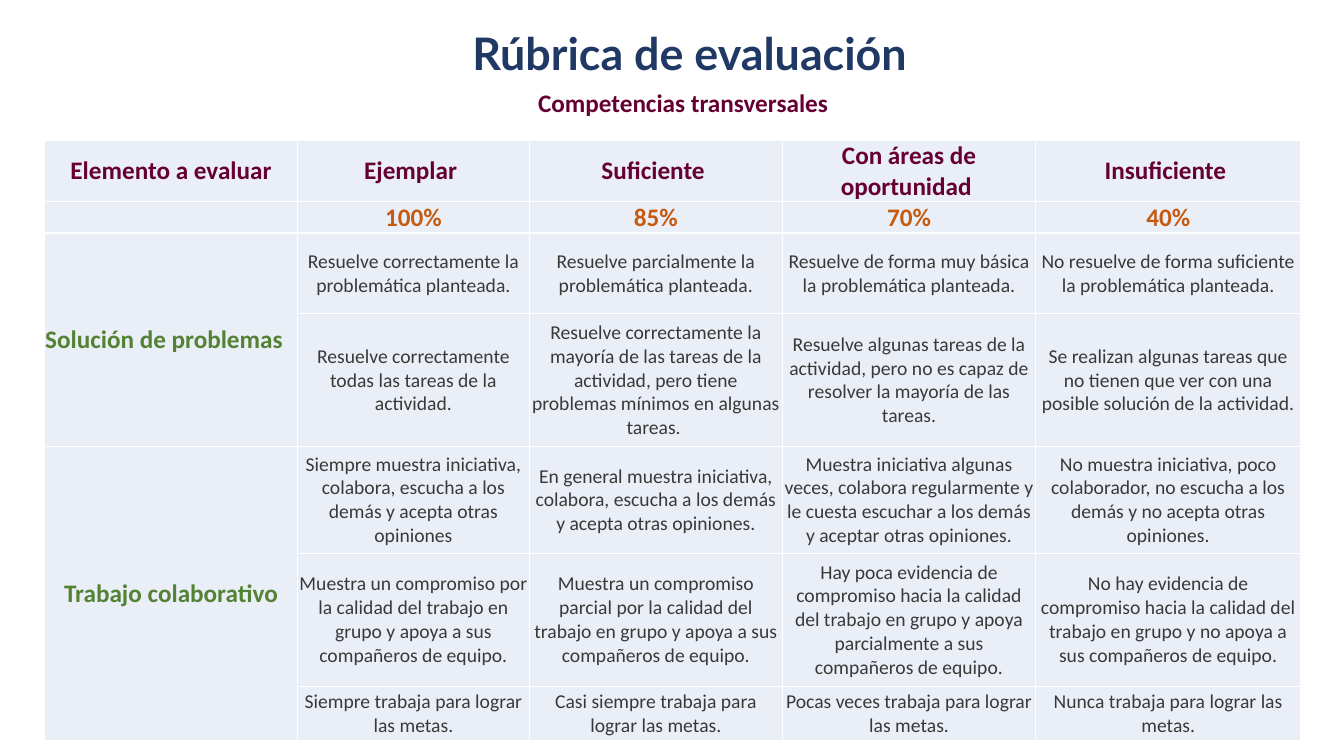
from lxml import etree
from pptx import Presentation
from pptx.dml.color import RGBColor
from pptx.enum.text import MSO_ANCHOR, MSO_AUTO_SIZE, PP_ALIGN
from pptx.oxml.ns import qn
from pptx.util import Cm, Pt

LEFT, CENTER = PP_ALIGN.LEFT, PP_ALIGN.CENTER
MIDDLE = MSO_ANCHOR.MIDDLE
GROW = MSO_AUTO_SIZE.SHAPE_TO_FIT_TEXT

NAVY = RGBColor(0x20, 0x38, 0x64)
WINE = RGBColor(0x66, 0x00, 0x33)
RUST = RGBColor(0xC5, 0x5A, 0x11)
GREEN = RGBColor(0x54, 0x82, 0x35)
GRAY = RGBColor(0x3B, 0x38, 0x38)
PALE = RGBColor(0xEA, 0xEF, 0xF7)
WHITE = RGBColor(0xFF, 0xFF, 0xFF)

COLS = [6.38, 5.84, 6.38, 6.38, 6.68]
ROWS = [1.55, 0.79, 2.03, 3.35, 2.69, 3.35, 1.37]
GROUPS = [(2, 3), (4, 6)]  # first and last row of each skill
RUBRIC = [
    ["Elemento a evaluar", "Ejemplar\u00a0", "Suficiente\u00a0",
     "Con áreas de oportunidad\u00a0", "Insuficiente "],
    ["", "100%", "85%", "70%", "40%"],
    ["Solución de problemas",
     "Resuelve correctamente la problemática planteada.",
     "Resuelve parcialmente la problemática planteada.",
     "Resuelve de forma muy básica la problemática planteada.",
     "No resuelve de forma suficiente la problemática planteada."],
    ["",
     "Resuelve correctamente todas las tareas de la actividad.",
     "Resuelve correctamente la mayoría de las tareas de la actividad, "
     "pero tiene problemas mínimos en algunas tareas.\u00a0",
     "Resuelve algunas tareas de la actividad, pero no es capaz de "
     "resolver la mayoría de las tareas.",
     "Se realizan algunas tareas que no tienen que ver con una posible "
     "solución de la actividad."],
    ["Trabajo colaborativo",
     "Siempre muestra iniciativa, colabora, escucha a los demás y acepta "
     "otras opiniones",
     "En general muestra iniciativa, colabora, escucha a los demás y "
     "acepta otras opiniones.",
     "Muestra iniciativa algunas veces, colabora regularmente y le cuesta "
     "escuchar a los demás y aceptar otras opiniones.",
     "No muestra iniciativa, poco colaborador, no escucha a los demás y "
     "no acepta otras opiniones."],
    ["",
     "Muestra un compromiso por la calidad del trabajo en grupo y apoya a "
     "sus compañeros de equipo.",
     "Muestra un compromiso parcial por la calidad del trabajo en grupo y "
     "apoya a sus compañeros de equipo.",
     "Hay poca evidencia de compromiso hacia la calidad del trabajo en "
     "grupo y apoya parcialmente a sus compañeros de equipo.",
     "No hay evidencia de compromiso hacia la calidad del trabajo en "
     "grupo y no apoya a sus compañeros de equipo."],
    ["",
     "Siempre trabaja para lograr las metas.",
     "Casi siempre trabaja para lograr las metas.",
     "Pocas veces trabaja para lograr las metas.",
     "Nunca trabaja para lograr las metas."],
]


def write(frame, text, size, color, bold=True, face="Calibri", align=CENTER):
    para = frame.paragraphs[0]
    para.text = text
    para.alignment = align
    font = para.font
    font.name, font.size, font.bold = face, Pt(size), bold
    font.color.rgb = color
    return para


def add_title(slide, x, y, w, h):
    frame = slide.shapes.add_textbox(x, y, w, h).text_frame
    frame.word_wrap = True
    frame.vertical_anchor = MIDDLE
    write(frame, " Rúbrica de evaluación", 32, NAVY, face="Lato")


def add_topic(slide, x, y, w, h):
    frame = slide.shapes.add_textbox(x, y, w, h).text_frame
    frame.word_wrap = False
    frame.auto_size = GROW
    para = write(frame, "Competencias transversales", 18, WINE, align=LEFT)
    para.space_before = Pt(6)


def add_edges(cell):
    props = cell._tc.get_or_add_tcPr()
    for spot, side in enumerate(("lnL", "lnR", "lnT", "lnB")):
        line = etree.Element(qn("a:" + side), w=str(Pt(1)))
        fill = etree.SubElement(line, qn("a:solidFill"))
        etree.SubElement(fill, qn("a:srgbClr"), val=str(WHITE))
        props.insert(spot, line)


def style(row, col):
    """Size, colour and weight by place in the rubric."""
    if row == 0:
        return 18, WINE, True
    if row == 1:
        return 18, RUST, True
    return (18, GREEN, True) if col == 0 else (14, GRAY, False)


def add_rubric(slide, x, y, w, h):
    table = slide.shapes.add_table(len(ROWS), len(COLS), x, y, w, h).table
    table.first_row = table.horz_banding = False
    for col, width in zip(table.columns, COLS):
        col.width = Cm(width)
    for row, height in zip(table.rows, ROWS):
        row.height = Cm(height)
    for r, texts in enumerate(RUBRIC):
        for c, text in enumerate(texts):
            cell = table.cell(r, c)
            cell.fill.solid()
            cell.fill.fore_color.rgb = PALE
            cell.vertical_anchor = MIDDLE
            cell.margin_left = cell.margin_right = cell.margin_top = Cm(0.02)
            cell.margin_bottom = 0
            add_edges(cell)
            if text:
                align = LEFT if (r, c) == (2, 0) else CENTER
                write(cell.text_frame, text, *style(r, c), align=align)
    for first, last in GROUPS:
        table.cell(first, 0).merge(table.cell(last, 0))


deck = Presentation()
deck.slide_width, deck.slide_height = Cm(33.87), Cm(19.05)
page = deck.slides.add_slide(deck.slide_layouts[6])
add_title(page, Cm(4.8), Cm(0), Cm(24.89), Cm(2.67))
add_topic(page, Cm(13.31), Cm(2.08), Cm(7.87), Cm(1.02))
add_rubric(page, Cm(1.12), Cm(3.53), Cm(sum(COLS)), Cm(sum(ROWS)))
deck.save("out.pptx")
